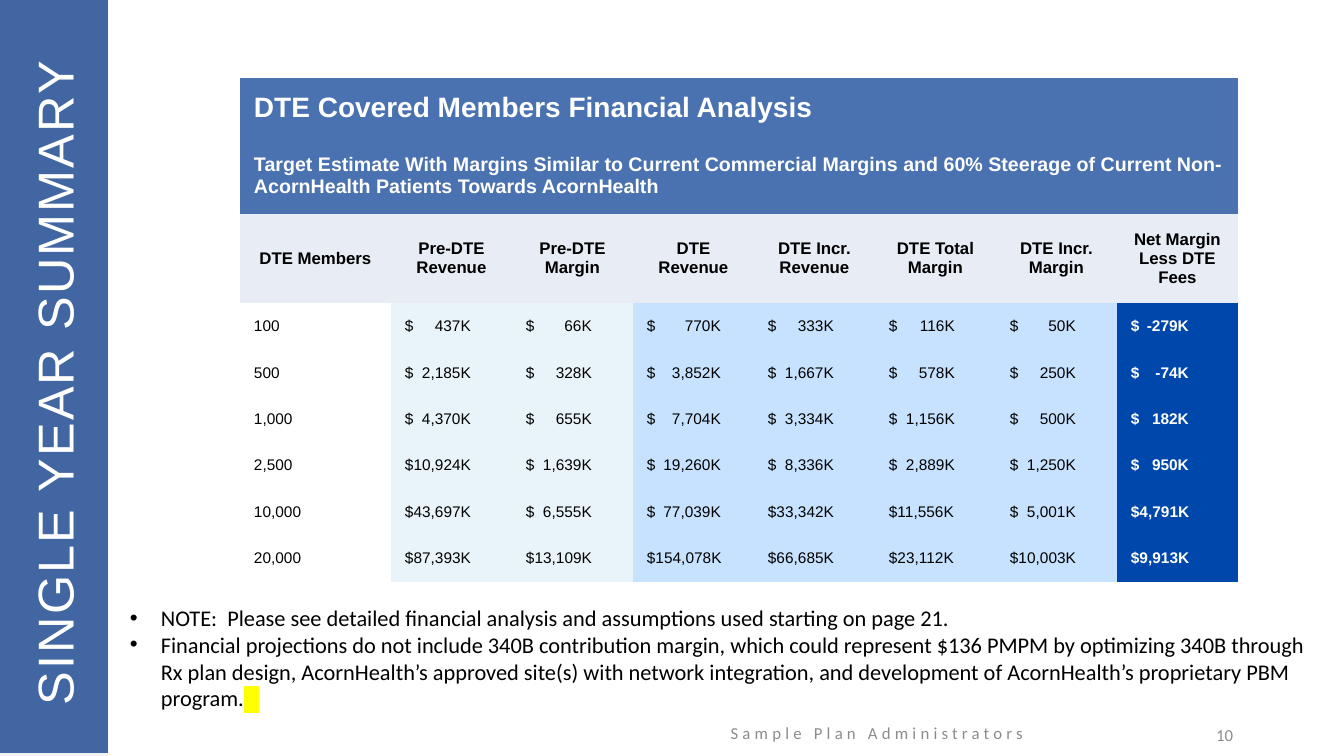
from lxml import etree
from pptx import Presentation
from pptx.dml.color import RGBColor
from pptx.enum.shapes import MSO_SHAPE
from pptx.enum.text import MSO_ANCHOR, PP_ALIGN
from pptx.oxml.ns import qn
from pptx.util import Pt

LEFT, CENTER, RIGHT = PP_ALIGN.LEFT, PP_ALIGN.CENTER, PP_ALIGN.RIGHT
TOP, MIDDLE = MSO_ANCHOR.TOP, MSO_ANCHOR.MIDDLE
RECTANGLE = MSO_SHAPE.RECTANGLE
EMU_PER_PX = 914400 / 100.8
NO_TABLE_STYLE = "{2D5ABB26-0587-4C30-8999-92F81FD0307C}"

WHITE, BLACK, GRAY = "FFFFFF", "000000", "8C8C8C"
BANNER, HEADER = "4A72B0", "E7ECF5"
PRE_DTE, WITH_DTE, NET_MARGIN = "E8F4F9", "C6E2FF", "0047AB"
COLUMN_FILLS = [None] + [PRE_DTE] * 2 + [WITH_DTE] * 4 + [NET_MARGIN]

BANNERS = [
    ("DTE Covered Members Financial Analysis", 20),
    ("Target Estimate With Margins Similar to Current Commercial Margins and 60% "
     "Steerage of Current Non-AcornHealth Patients Towards AcornHealth", 14),
]
HEADINGS = ["DTE Members", "Pre-DTE Revenue", "Pre-DTE Margin", "DTE Revenue",
            "DTE Incr. Revenue", "DTE Total Margin", "DTE Incr. Margin",
            "Net Margin Less DTE Fees"]
MEMBER_ROWS = [
    ["100", "437K", "66K", "770K", "333K", "116K", "50K", "-279K"],
    ["500", "2,185K", "328K", "3,852K", "1,667K", "578K", "250K", "-74K"],
    ["1,000", "4,370K", "655K", "7,704K", "3,334K", "1,156K", "500K", "182K"],
    ["2,500", "10,924K", "1,639K", "19,260K", "8,336K", "2,889K", "1,250K", "950K"],
    ["10,000", "43,697K", "6,555K", "77,039K", "33,342K", "11,556K", "5,001K", "4,791K"],
    ["20,000", "87,393K", "13,109K", "154,078K", "66,685K", "23,112K", "10,003K", "9,913K"],
]
# Right edge of the amounts in each money column, from the cell's text edge
AMOUNT_EDGES = [66, 66, 74, 66, 66, 66, 58]
NOTES = [
    "NOTE:  Please see detailed financial analysis and assumptions used starting on page 21.",
    "Financial projections do not include 340B contribution margin, which could represent "
    "$136 PMPM by optimizing 340B through Rx plan design, AcornHealth’s approved site(s) "
    "with network integration, and development of AcornHealth’s proprietary PBM program.",
]


def px(length):
    return round(length * EMU_PER_PX)


def rgb(value):
    return RGBColor.from_string(value)


def format_run(run, size, color, font="Calibri", bold=False, spacing=0):
    run.font.name = font
    run.font.size = Pt(size)
    run.font.bold = bold
    run.font.color.rgb = rgb(color)
    if spacing:
        run._r.get_or_add_rPr().set("spc", str(round(spacing * 100)))


def highlight(run, color):
    mark = etree.Element(qn("a:highlight"))
    etree.SubElement(mark, qn("a:srgbClr")).set("val", color)
    run._r.rPr.find(qn("a:latin")).addprevious(mark)


def add_panel(slide, left, top, width, height, color, alpha=100):
    panel = slide.shapes.add_shape(RECTANGLE, px(left), px(top), px(width), px(height))
    panel.shadow.inherit = False
    panel.fill.solid()
    panel.fill.fore_color.rgb = rgb(color)
    panel.line.fill.background()
    if alpha < 100:
        fill_color = panel.fill._xPr.find(qn("a:solidFill"))[0]
        etree.SubElement(fill_color, qn("a:alpha")).set("val", str(alpha * 1000))


def add_text_box(slide, left, top, width, height, text, align=LEFT, anchor=MIDDLE):
    box = slide.shapes.add_textbox(px(left), px(top), px(width), px(height))
    frame = box.text_frame
    frame.word_wrap = True
    frame.vertical_anchor = anchor
    frame.text = text
    for paragraph in frame.paragraphs:
        paragraph.alignment = align
    return box


def add_bullet(paragraph, indent):
    properties = paragraph._p.get_or_add_pPr()
    properties.set("marL", str(px(indent)))
    properties.set("indent", str(-px(indent)))
    etree.SubElement(properties, qn("a:buFont")).set("typeface", "Arial")
    etree.SubElement(properties, qn("a:buChar")).set("char", "•")


def add_right_tab(paragraph, position):
    tabs = etree.SubElement(paragraph._p.get_or_add_pPr(), qn("a:tabLst"))
    tab = etree.SubElement(tabs, qn("a:tab"))
    tab.set("pos", str(px(position)))
    tab.set("algn", "r")


def fill_cell(cell, text, size, color=BLACK, fill=None, bold=False, align=LEFT, tab=None):
    cell.margin_left = cell.margin_right = px(14)
    cell.margin_top = cell.margin_bottom = px(5)
    cell.vertical_anchor = MIDDLE
    if fill:
        cell.fill.solid()
        cell.fill.fore_color.rgb = rgb(fill)
    else:
        cell.fill.background()
    cell.text_frame.text = text
    paragraph = cell.text_frame.paragraphs[0]
    paragraph.alignment = align
    if tab:
        add_right_tab(paragraph, tab)
    format_run(paragraph.runs[0], size, color, "Arial", bold)


def add_financial_table(slide):
    heights = [px(60), px(76), px(89)] + [px(279) // 6] * len(MEMBER_ROWS)
    widths = [px(151)] + [px(121)] * 7
    table = slide.shapes.add_table(len(heights), len(widths), px(240), px(78),
                                   sum(widths), sum(heights)).table
    table.first_row = table.horz_banding = False
    table._tbl.tblPr.find(qn("a:tableStyleId")).text = NO_TABLE_STYLE
    for row, height in zip(table.rows, heights):
        row.height = height
    for column, width in zip(table.columns, widths):
        column.width = width

    # Banner and column headings
    for row, (text, size) in enumerate(BANNERS):
        table.cell(row, 0).merge(table.cell(row, len(widths) - 1))
        fill_cell(table.cell(row, 0), text, size, WHITE, BANNER, bold=True)
    for column, heading in enumerate(HEADINGS):
        fill_cell(table.cell(2, column), heading, 12, fill=HEADER, bold=True, align=CENTER)

    # Amounts: dollar sign on the left, figure ending at the column's edge
    for column, values in enumerate(zip(*MEMBER_ROWS)):
        fill = COLUMN_FILLS[column]
        is_net = fill == NET_MARGIN
        longest = max(len(value) for value in values)
        for row, value in enumerate(values, start=3):
            text, tab = value, None
            if column and len(value) < longest:
                text, tab = "$\t" + value, AMOUNT_EDGES[column - 1]
            elif column:
                text = "$" + value
            fill_cell(table.cell(row, column), text, 11, WHITE if is_net else BLACK,
                      fill, bold=is_net, tab=tab)


def add_notes_list(slide):
    box = add_text_box(slide, 120, 599, 1200, 119, "\n".join(NOTES), anchor=TOP)
    for paragraph in box.text_frame.paragraphs:
        add_bullet(paragraph, 31)
        format_run(paragraph.runs[0], 16, BLACK)
    marker = paragraph.add_run()
    marker.text = "   "
    format_run(marker, 16, BLACK)
    highlight(marker, "FFFF00")


def main():
    presentation = Presentation()
    presentation.slide_width, presentation.slide_height = px(1344), px(756)
    slide = presentation.slides.add_slide(presentation.slide_layouts[6])

    # Side panel and footer
    add_panel(slide, 0, 0, 108, 756, "F2F2F2")
    footer = add_text_box(slide, 650, 713, 454, 40, "Sample Plan Administrators", CENTER)
    format_run(footer.text_frame.paragraphs[0].runs[0], 12, GRAY, spacing=3)
    number = add_text_box(slide, 941, 715, 302, 40, "10", RIGHT)
    format_run(number.text_frame.paragraphs[0].runs[0], 12, GRAY)
    add_panel(slide, 0, -3, 108, 756, "254F96", alpha=86)

    # Vertical title
    title = add_text_box(slide, -285, 335, 677, 83, "SINGLE YEAR SUMMARY")
    title.rotation = 270
    format_run(title.text_frame.paragraphs[0].runs[0], 36, WHITE, "Arial", spacing=1.5)

    # Content
    add_notes_list(slide)
    add_financial_table(slide)
    presentation.save("out.pptx")


if __name__ == "__main__":
    main()
